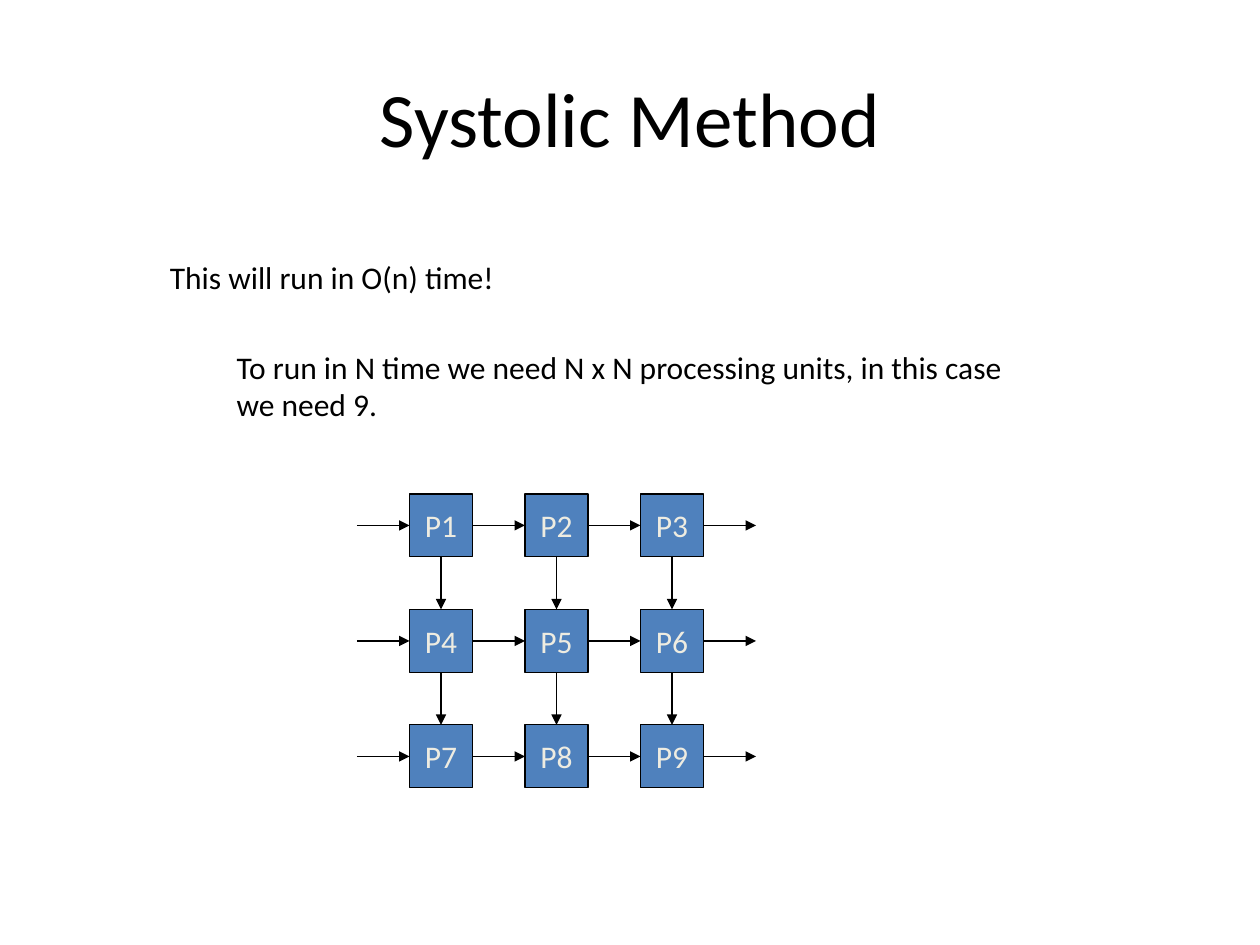
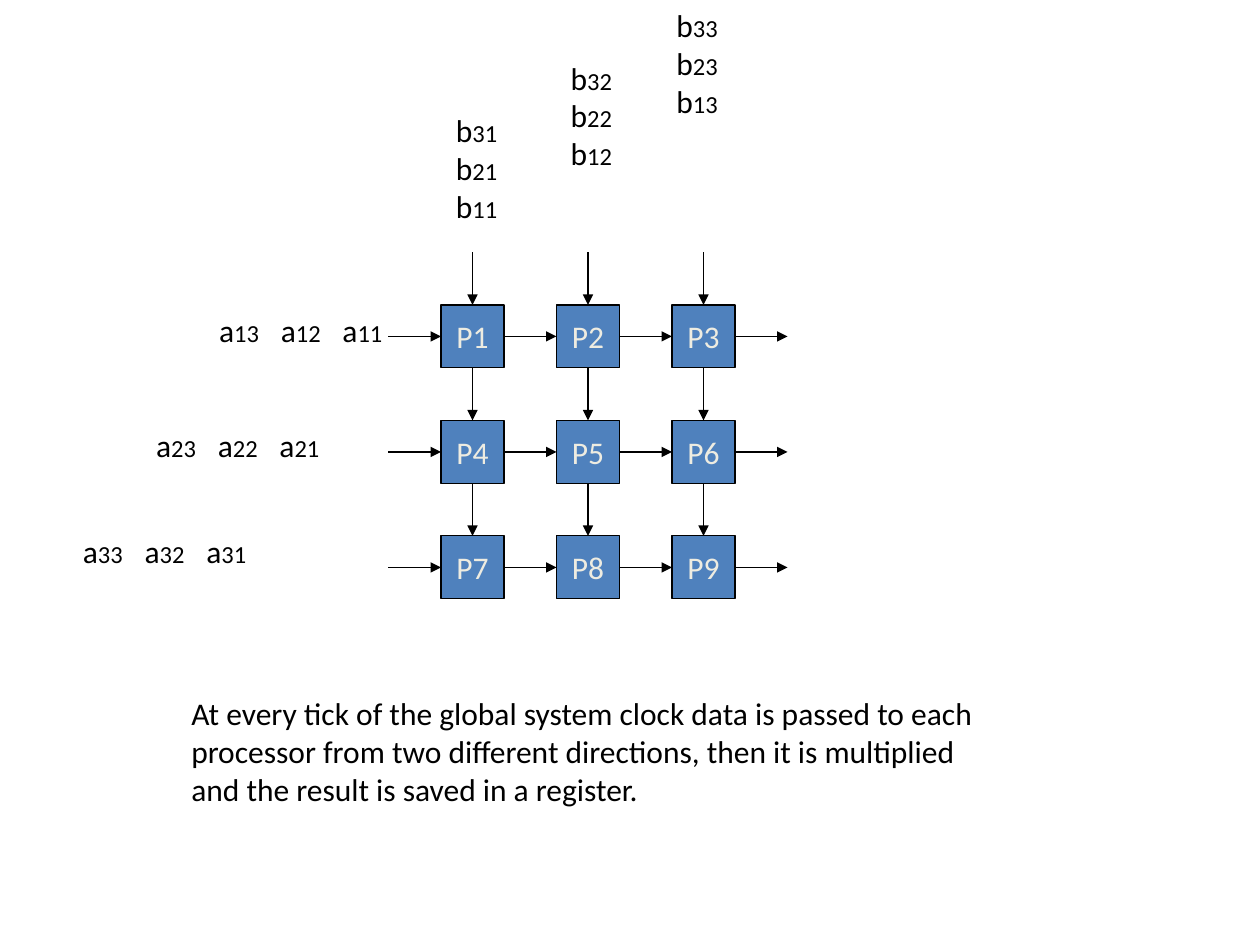
from dataclasses import dataclass

from lxml.etree import SubElement
from pptx import Presentation
from pptx.dml.color import RGBColor as RGB
from pptx.enum.shapes import MSO_CONNECTOR as CONN, MSO_SHAPE as SHAPE
from pptx.enum.text import MSO_ANCHOR as ANCHOR, MSO_AUTO_SIZE as AUTO, PP_ALIGN as ALIGN
from pptx.oxml.ns import qn
from pptx.util import Inches, Pt


@dataclass(frozen=True)
class Theme:
    font: str = "Calibri"
    ink: RGB = RGB(0x00, 0x00, 0x00)
    node_fill: RGB = RGB(0x4F, 0x81, 0xBD)
    node_text: RGB = RGB(0xEE, 0xEC, 0xE1)
    title: int = 44
    body: int = 18
    index: int = 14
    line: float = 0.75


THEME = Theme()
N = 3                  # processors per side
NODE = 0.5             # side of a processor
ARROW = 5 / 12         # length of an arrow
PITCH = NODE + ARROW
ENTRY_GAP = 0.49       # distance between entries of a matrix row
TOP, LEFT, BOTTOM, RIGHT = range(4)


def set_attrs(obj, values):
    for name, value in values.items():
        setattr(obj, name, value)


def add_run(p, text, size=THEME.body, color=THEME.ink):
    r = p.add_run()
    r.text = text
    set_attrs(r.font, {"name": THEME.font, "size": Pt(size)})
    r.font.color.rgb = color


def add_title(slide, text):
    sp = slide.shapes.title
    set_attrs(sp, {"left": Inches(0.5), "top": Inches(0.3),
                   "width": Inches(9), "height": Inches(1.25)})
    sp.text_frame.vertical_anchor = ANCHOR.MIDDLE
    p = sp.text_frame.paragraphs[0]
    p.alignment = ALIGN.CENTER
    add_run(p, text, THEME.title)


def add_text(slide, x, y, w, h, lines):
    """Add a text box; each line is a list of (text, size) runs."""
    tf = slide.shapes.add_textbox(*map(Inches, (x, y, w, h))).text_frame
    set_attrs(tf, {"word_wrap": False, "auto_size": AUTO.SHAPE_TO_FIT_TEXT})
    for i, runs in enumerate(lines):
        p = tf.add_paragraph() if i else tf.paragraphs[0]
        for text, size in runs:
            add_run(p, text, size)
    return tf


def add_note(slide, x, y, w, h, *lines):
    add_text(slide, x, y, w, h, [[(line, THEME.body)] for line in lines])


def entry(name, row, col, end=""):
    """Runs of one matrix entry: its letter and its smaller index."""
    return [(name, THEME.body), (f"{row}{col}{end}", THEME.index)]


def add_a_row(slide, x, y, row):
    runs = []
    for col in range(N, 0, -1):
        runs += entry("a", row, col, "\t" if col > 1 else "")
    tf = add_text(slide, x, y, 1.5, 0.4, [runs])
    tabs = SubElement(tf.paragraphs[0]._p.get_or_add_pPr(), qn("a:tabLst"))
    for i in range(1, N):
        SubElement(tabs, qn("a:tab"), pos=str(Inches(i * ENTRY_GAP)), algn="l")


def add_b_column(slide, x, y, col):
    add_text(slide, x, y, 0.53, 1, [entry("b", row, col) for row in range(N, 0, -1)])


def add_node(slide, x, y, label):
    sp = slide.shapes.add_shape(SHAPE.RECTANGLE, *map(Inches, (x, y, NODE, NODE)))
    sp.shadow.inherit = False
    sp.fill.solid()
    sp.fill.fore_color.rgb = THEME.node_fill
    sp.line.color.rgb = THEME.ink
    sp.line.width = Pt(THEME.line)
    set_attrs(sp.text_frame, {"word_wrap": False, "vertical_anchor": ANCHOR.MIDDLE})
    p = sp.text_frame.paragraphs[0]
    p.alignment = ALIGN.CENTER
    add_run(p, label, color=THEME.node_text)
    return sp


def add_arrow(slide, x, y, dx, dy, source=None, target=None):
    """Draw an arrow from (x, y); source and target are (shape, side) joints."""
    cn = slide.shapes.add_connector(CONN.STRAIGHT, *map(Inches, (x, y, x + dx, y + dy)))
    if source:
        cn.begin_connect(*source)
    if target:
        cn.end_connect(*target)
    cn.line.color.rgb = THEME.ink
    cn.line.width = Pt(THEME.line)
    SubElement(cn.line._get_or_add_ln(), qn("a:tailEnd"), type="triangle")
    SubElement(cn._element.spPr, qn("a:effectLst"))


def add_array(slide, left, top, fed_from_top=False):
    """Draw the N x N processors with the arrows that carry data through them."""
    nodes = [[add_node(slide, left + c * PITCH, top + r * PITCH, f"P{r * N + c + 1}")
              for c in range(N)] for r in range(N)]
    for i in range(N):
        middle = i * PITCH + NODE / 2
        row = nodes[i]
        column = [nodes[r][i] for r in range(N)]
        for k in range(N + 1):
            start = k * PITCH - ARROW
            add_arrow(slide, left + start, top + middle, ARROW, 0,
                      (row[k - 1], RIGHT) if k else None,
                      (row[k], LEFT) if k < N else None)
        for k in range(0 if fed_from_top else 1, N):
            start = k * PITCH - ARROW
            add_arrow(slide, left + middle, top + start, 0, ARROW,
                      (column[k - 1], BOTTOM) if k else None, (column[k], TOP))


def build_method_slide(prs):
    slide = prs.slides.add_slide(prs.slide_layouts[5])
    add_title(slide, "Systolic Method")
    add_note(slide, 1.25, 2, 2.77, 0.4, "This will run in O(n) time!")
    add_note(slide, 1.78, 2.71, 6.3, 0.7,
             "To run in N time we need N x N processing units, in this case",
             "we need 9.")
    add_array(slide, 3.25, 3.92)


def build_data_flow_slide(prs):
    slide = prs.slides.add_slide(prs.slide_layouts[6])
    add_array(slide, 3.5, 2.42, fed_from_top=True)
    for row, (x, y) in enumerate([(1.64, 2.42), (1.14, 3.33), (0.56, 4.17)], 1):
        add_a_row(slide, x, y, row)
    for col, x in enumerate([3.52, 4.43, 5.27], 1):
        add_b_column(slide, x, (N - col) * ARROW, col)
    add_note(slide, 1.42, 5.46, 6.43, 1,
             "At every tick of the global system clock data is passed to each",
             "processor from two different directions, then it is multiplied",
             "and the result is saved in a register.")


def main():
    prs = Presentation()
    set_attrs(prs, {"slide_width": Inches(10), "slide_height": Inches(7.5)})
    build_method_slide(prs)
    build_data_flow_slide(prs)
    prs.save("out.pptx")


if __name__ == "__main__":
    main()
